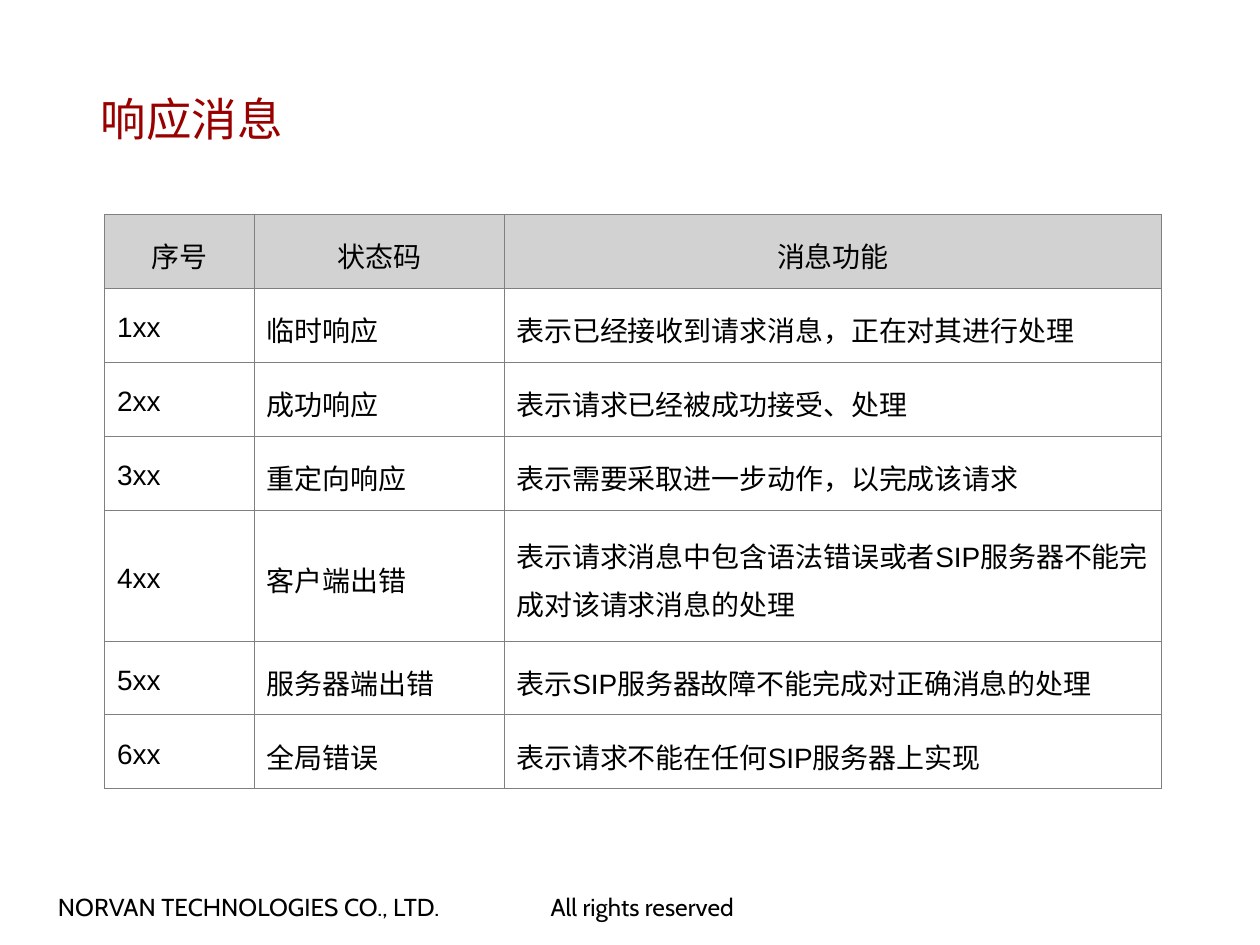
import pptx
import pptx.dml.color
import pptx.enum.text
import pptx.oxml
import pptx.oxml.ns
import pptx.util

Cm, Pt = pptx.util.Cm, pptx.util.Pt
ANCHOR = pptx.enum.text.MSO_ANCHOR
ALIGN = pptx.enum.text.PP_ALIGN
COLORS = {"title": "990000", "text": "000000", "header": "D2D2D2", "border": "808080"}


def style_text(paragraph, font, size, color):
    for run in paragraph.runs:
        run.font.name = font
        run.font.size = Pt(size)
        run.font.color.rgb = pptx.dml.color.RGBColor.from_string(COLORS[color])


def add_borders(cell):
    for side in ("lnL", "lnR", "lnT", "lnB"):
        cell._tc.get_or_add_tcPr().append(pptx.oxml.parse_xml(
            f'<a:{side} {pptx.oxml.ns.nsdecls("a")} w="{Pt(0.45)}"><a:solidFill>'
            f'<a:srgbClr val="{COLORS["border"]}"/></a:solidFill></a:{side}>'))


deck = pptx.Presentation()
deck.slide_width, deck.slide_height = Cm(25.4), Cm(19.05)
slide = deck.slides.add_slide(deck.slide_layouts[6])

# Footer and title: text, left, top, width, height, font, size, colour, wrap
lines = [
    ("NORVAN TECHNOLOGIES CO., LTD.", 0.94, 17.88, 8.79, 0.81, "Cabin", 14, "text", False),
    ("All rights reserved", 10.87, 17.88, 5.84, 0.81, "Cabin", 14, "text", True),
    ("响应消息", 1.8, 1.73, 21.49, 1.32, "Arial", 26, "title", True),
]
for text, left, top, width, height, font, size, color, wrap in lines:
    frame = slide.shapes.add_textbox(Cm(left), Cm(top), Cm(width), Cm(height)).text_frame
    frame.text = text
    frame.word_wrap = wrap
    frame.margin_left = frame.margin_right = Cm(0.23)
    frame.margin_top = frame.margin_bottom = Cm(0.1)
    frame.vertical_anchor = ANCHOR.MIDDLE if color == "title" else ANCHOR.TOP
    style_text(frame.paragraphs[0], font, size, color)

# Table of response classes
responses = [
    ("序号", "状态码", "消息功能"),
    ("1xx", "临时响应", "表示已经接收到请求消息，正在对其进行处理"),
    ("2xx", "成功响应", "表示请求已经被成功接受、处理"),
    ("3xx", "重定向响应", "表示需要采取进一步动作，以完成该请求"),
    ("4xx", "客户端出错", "表示请求消息中包含语法错误或者SIP服务器不能完成对该请求消息的处理"),
    ("5xx", "服务器端出错", "表示SIP服务器故障不能完成对正确消息的处理"),
    ("6xx", "全局错误", "表示请求不能在任何SIP服务器上实现"),
]
column_widths = [3.02, 5.03, 13.26]
row_heights = [2.64 if row[0] == "4xx" else 1.49 for row in responses]
table = slide.shapes.add_table(
    len(responses), len(column_widths), Cm(2.11), Cm(4.32),
    Cm(sum(column_widths)), Cm(sum(row_heights))).table
table.horz_banding = False
for column, width in zip(table.columns, column_widths):
    column.width = Cm(width)

for r, response in enumerate(responses):
    table.rows[r].height = Cm(row_heights[r])
    for c, text in enumerate(response):
        cell = table.cell(r, c)
        cell.text_frame.text = text
        cell.vertical_anchor = ANCHOR.MIDDLE
        cell.margin_left = cell.margin_right = Cm(0.25)
        cell.margin_top = cell.margin_bottom = Cm(0.13)
        paragraph = cell.text_frame.paragraphs[0]
        paragraph.alignment = ALIGN.CENTER if r == 0 else ALIGN.LEFT
        paragraph.line_spacing = 1.2
        paragraph.space_after = Pt(4)
        style_text(paragraph, "Arial", 16, "text")
        for run in paragraph.runs:
            run.font.bold = False
        add_borders(cell)
        if r == 0:
            cell.fill.solid()
            cell.fill.fore_color.rgb = pptx.dml.color.RGBColor.from_string(COLORS["header"])
        else:
            cell.fill.background()

deck.save("out.pptx")
